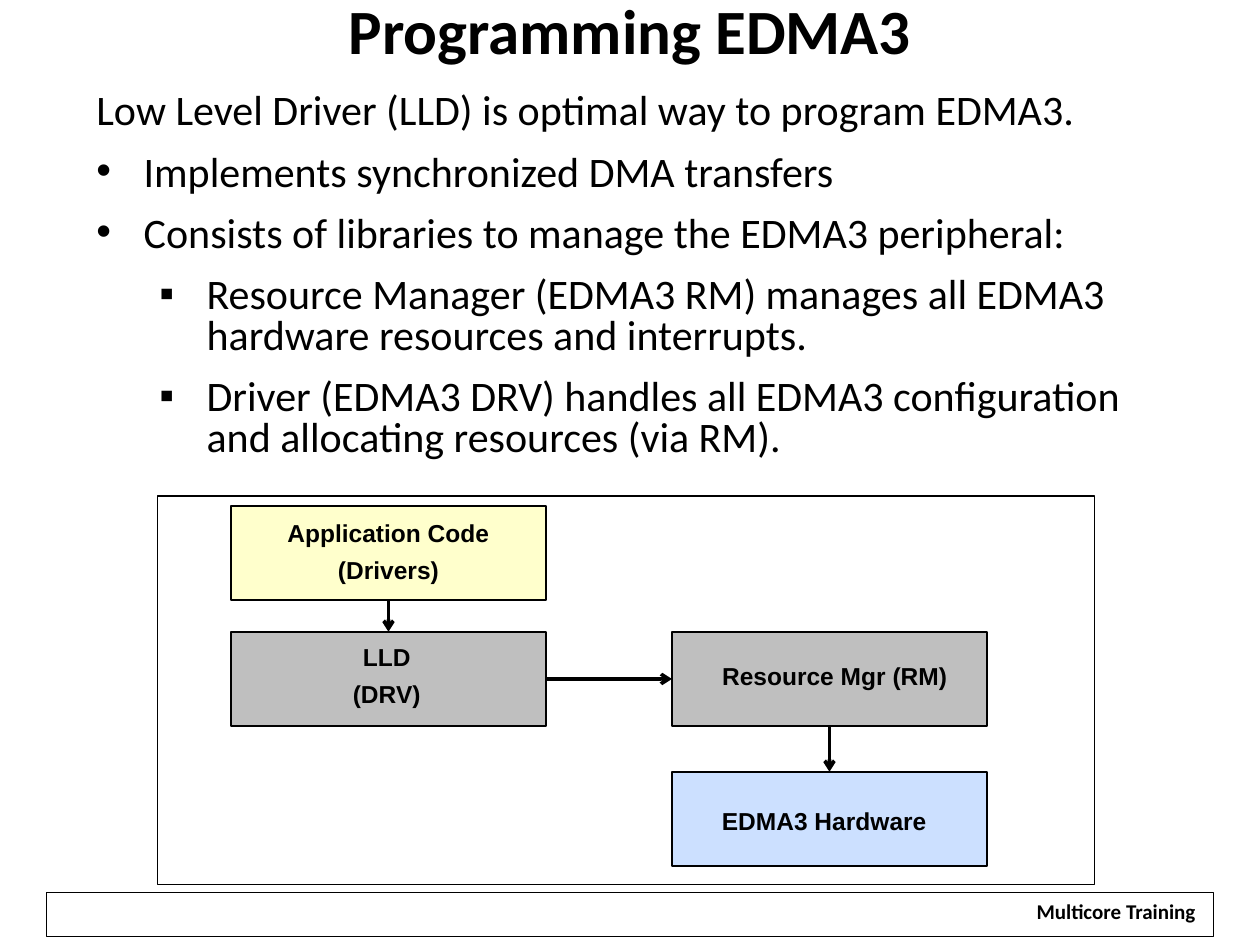
from dataclasses import dataclass
from typing import Optional

from lxml.etree import SubElement
from pptx import Presentation
from pptx.dml.color import RGBColor as RGB
from pptx.enum.shapes import MSO_CONNECTOR as CONN, MSO_SHAPE as SHAPE
from pptx.enum.text import MSO_ANCHOR as ANCHOR, MSO_AUTO_SIZE as FIT, PP_ALIGN as ALIGN
from pptx.oxml.ns import qn
from pptx.util import Pt

TOP, LEFT, BOTTOM, RIGHT = range(4)
BOX_W, BOX_H = 180, 54
COLS = (132, 384)
ROWS = (289, 361, 441)


@dataclass(frozen=True)
class Theme:
    ink: str = "000000"
    paper: str = "FFFFFF"
    app: str = "FFFFCC"
    driver: str = "BFBFBF"
    hardware: str = "CCE0FF"
    head_font: str = "Calibri"
    label_font: str = "Arial"
    title: int = 36
    body: int = 24
    label: int = 14
    footer: int = 12


@dataclass(frozen=True)
class Bullet:
    text: str
    mark: str = ""
    level: int = 0


@dataclass(frozen=True)
class Block:
    name: str
    lines: tuple[str, ...]
    col: int
    row: int
    fill: str
    label: tuple[float, float, float, float]


@dataclass(frozen=True)
class Link:
    start: str
    start_site: int
    end: str
    end_site: int


T = Theme()

BULLETS = (
    Bullet("Low Level Driver (LLD) is optimal way to program EDMA3."),
    Bullet("Implements synchronized DMA transfers", "•"),
    Bullet("Consists of libraries to manage the EDMA3 peripheral:", "•"),
    Bullet("Resource Manager (EDMA3 RM) manages all EDMA3 hardware resources and interrupts.", "▪", 1),
    Bullet("Driver (EDMA3 DRV) handles all EDMA3 configuration and allocating resources (via RM).", "▪", 1),
)

BLOCKS = (
    Block("app", ("Application Code", "(Drivers)"), 0, 0, T.app, (153, 295, 138, 43)),
    Block("lld", ("LLD", "(DRV)"), 0, 1, T.driver, (152, 366, 138, 43)),
    Block("rm", ("Resource Mgr (RM)",), 1, 1, T.driver, (402, 377, 150, 21)),
    Block("hw", ("EDMA3 Hardware",), 1, 2, T.hardware, (402, 460, 138, 21)),
)

LINKS = (
    Link("app", BOTTOM, "lld", TOP),
    Link("lld", RIGHT, "rm", LEFT),
    Link("rm", BOTTOM, "hw", TOP),
)


def apply(target, values: dict) -> None:
    for name, value in values.items():
        setattr(target, name, value)


def write(p, text: str, font: str, size: int, bold: bool, **layout) -> None:
    apply(p, layout)
    r = p.add_run()
    r.text = text
    apply(r.font, {"name": font, "size": Pt(size), "bold": bold})
    r.font.color.rgb = RGB.from_string(T.ink)


def paragraph(tf, index: int):
    return tf.add_paragraph() if index else tf.paragraphs[0]


def add_rect(shapes, box: tuple, fill: Optional[str] = None, width: float = 1):
    sp = shapes.add_shape(SHAPE.RECTANGLE, *map(Pt, box))
    sp.shadow.inherit = False
    if fill:
        sp.fill.solid()
        sp.fill.fore_color.rgb = RGB.from_string(fill)
    else:
        sp.fill.background()
    sp.line.color.rgb = RGB.from_string(T.ink)
    sp.line.width = Pt(width)
    return sp


def add_text_frame(shapes, box: tuple, **values):
    tf = shapes.add_textbox(*map(Pt, box)).text_frame
    apply(tf, {"word_wrap": True, "auto_size": FIT.SHAPE_TO_FIT_TEXT} | values)
    return tf


def add_title(s, text: str) -> None:
    sp = s.shapes.title
    apply(sp, {"left": Pt(0), "top": Pt(1.5), "width": Pt(720), "height": Pt(48)})
    tf = sp.text_frame
    margins = {f"margin_{side}": Pt(3.6) for side in ("left", "top", "right", "bottom")}
    apply(tf, margins | {"vertical_anchor": ANCHOR.TOP, "auto_size": FIT.NONE, "word_wrap": True})
    write(tf.paragraphs[0], text, T.head_font, T.title, True,
          alignment=ALIGN.CENTER, line_spacing=0.75)


def add_footer(s, text: str) -> None:
    add_rect(s.shapes, (26.5, 510, 667, 25), width=0.75)
    sp = s.shapes.add_textbox(*map(Pt, (584.5, 512.5, 106.5, 19)))
    sp.fill.solid()
    sp.fill.fore_color.rgb = RGB.from_string(T.paper)
    apply(sp.text_frame, {"word_wrap": False, "auto_size": FIT.SHAPE_TO_FIT_TEXT})
    write(sp.text_frame.paragraphs[0], text, T.head_font, T.footer, True,
          alignment=ALIGN.CENTER, line_spacing=0.8)


def add_bullets(s, bullets: tuple[Bullet, ...]) -> None:
    tf = add_text_frame(s.shapes, (48, 50, 624, 219))
    for i, b in enumerate(bullets):
        p = paragraph(tf, i)
        pPr = p._p.get_or_add_pPr()
        pPr.set("marL", str(Pt(27 + 36 * b.level)))
        pPr.set("indent", str(-Pt(27)))
        if b.mark:
            SubElement(pPr, qn("a:buFont"), typeface="Arial")
            SubElement(pPr, qn("a:buChar"), char=b.mark)
        write(p, b.text, T.head_font, T.body, False, level=b.level, line_spacing=0.8,
              space_before=Pt(6 if i else 0), space_after=Pt(6))


def add_arrow(shapes, link: Link, boxes: dict) -> None:
    c = shapes.add_connector(CONN.STRAIGHT, 0, 0, 0, 0)
    c.begin_connect(boxes[link.start], link.start_site)
    c.end_connect(boxes[link.end], link.end_site)
    c.line.color.rgb = RGB.from_string(T.ink)
    c.line.width = Pt(2)
    SubElement(c.line._get_or_add_ln(), qn("a:tailEnd"), type="arrow")
    SubElement(c._element.spPr, qn("a:effectLst"))


def add_label(shapes, block: Block) -> None:
    tf = add_text_frame(shapes, block.label, vertical_anchor=ANCHOR.MIDDLE)
    for i, line in enumerate(block.lines):
        write(paragraph(tf, i), line, T.label_font, T.label, True, alignment=ALIGN.CENTER,
              line_spacing=0.8, space_before=Pt(7.7 if i else 0))


def add_diagram(s) -> None:
    shapes = s.shapes.add_group_shape().shapes
    add_rect(shapes, (90, 283.5, 535.5, 222))
    boxes = {b.name: add_rect(shapes, (COLS[b.col], ROWS[b.row], BOX_W, BOX_H), b.fill)
             for b in BLOCKS}
    for link in LINKS:
        add_arrow(shapes, link, boxes)
    for block in BLOCKS:
        add_label(shapes, block)


def main() -> None:
    prs = Presentation()
    apply(prs, {"slide_width": Pt(720), "slide_height": Pt(540)})
    s = prs.slides.add_slide(prs.slide_layouts[5])
    add_footer(s, "Multicore Training")
    add_title(s, "Programming EDMA3")
    add_bullets(s, BULLETS)
    add_diagram(s)
    prs.save("out.pptx")


if __name__ == "__main__":
    main()
